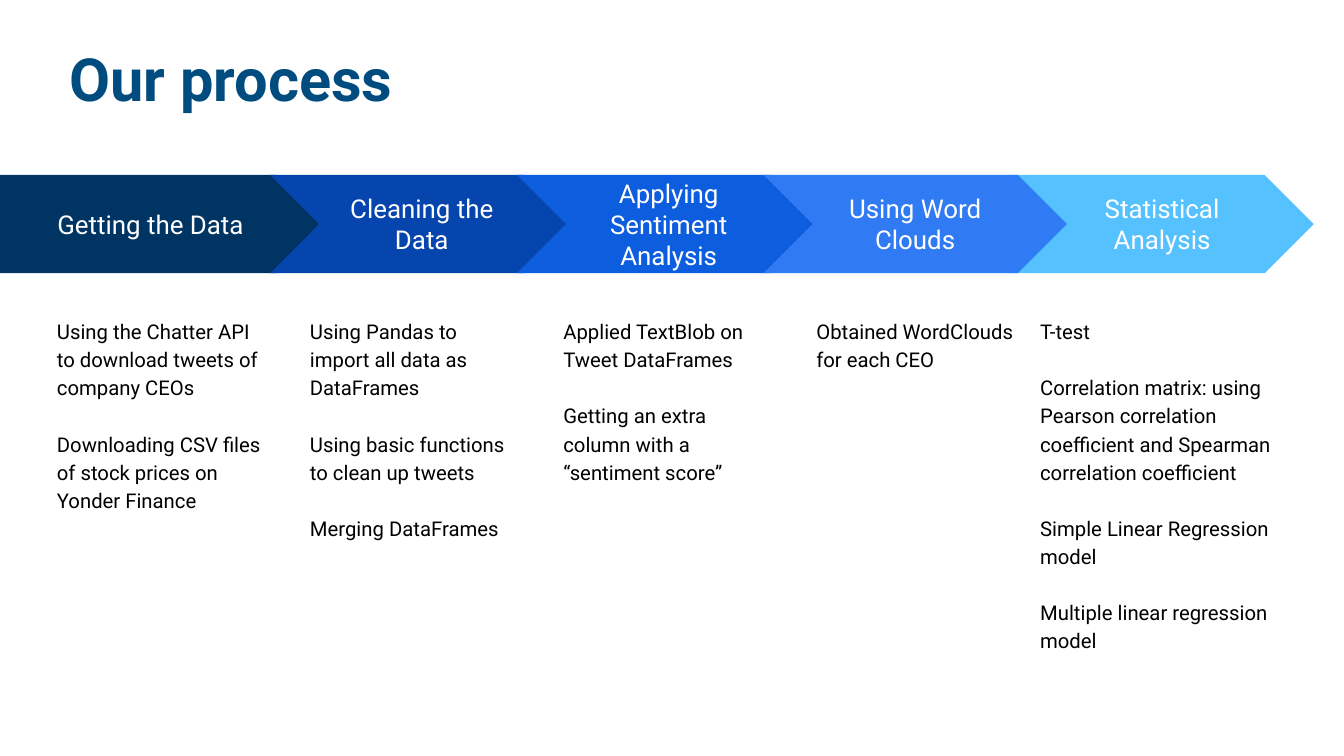
from dataclasses import dataclass

from pptx import Presentation
from pptx.dml.color import RGBColor
from pptx.enum.shapes import MSO_SHAPE
from pptx.enum.text import MSO_ANCHOR, PP_ALIGN
from pptx.slide import Slide
from pptx.text.text import TextFrame
from pptx.util import Inches, Pt

FONT = "Roboto"
TITLE_BLUE = RGBColor(0x00, 0x4C, 0x7F)
NAVY = RGBColor(0x00, 0x34, 0x62)
DARK_BLUE = RGBColor(0x06, 0x45, 0xAD)
BLUE = RGBColor(0x0D, 0x5D, 0xDF)
LIGHT_BLUE = RGBColor(0x30, 0x7B, 0xF3)
SKY = RGBColor(0x55, 0xC1, 0xFF)
WHITE = RGBColor(0xFF, 0xFF, 0xFF)
BLACK = RGBColor(0x00, 0x00, 0x00)


@dataclass
class Step:
    heading: str
    color: RGBColor
    left: float
    text_left: float
    details: list[str]
    width: float = 6.02
    text_width: float = 4.74
    shape: MSO_SHAPE = MSO_SHAPE.CHEVRON


STEPS = [
    Step("Getting the Data", NAVY, 0, 0.86, [
        "Using the Chatter API to download tweets of company CEOs",
        "Downloading CSV files of stock prices on Yonder Finance",
    ], width=6.46, shape=MSO_SHAPE.PENTAGON),
    Step("Cleaning the Data", DARK_BLUE, 5.36, 5.88, [
        "Using Pandas to import all data as DataFrames",
        "Using basic functions to clean up tweets",
        "Merging DataFrames",
    ]),
    Step("Applying Sentiment Analysis", BLUE, 10.26, 10.91, [
        "Applied TextBlob on Tweet DataFrames",
        "Getting an extra column with a “sentiment score”",
    ]),
    Step("Statistical Analysis", SKY, 20.05, 20.37, [
        "T-test",
        "Correlation matrix: using Pearson correlation coefficient "
        "and Spearman correlation coefficient",
        "Simple Linear Regression model",
        "Multiple linear regression model",
    ], text_width=5.32),
    Step("Using Word Clouds", LIGHT_BLUE, 15.15, 15.93, [
        "Obtained WordClouds for each CEO",
    ]),
]


def set_frame(tf: TextFrame, inset: float, anchor: MSO_ANCHOR) -> None:
    tf.word_wrap = True
    tf.vertical_anchor = anchor
    tf.margin_left = tf.margin_right = Inches(inset)
    tf.margin_top = tf.margin_bottom = Inches(inset)


def write(tf: TextFrame, texts: list[str], size: float, color: RGBColor,
          align: PP_ALIGN = PP_ALIGN.LEFT, spacing: float = 1.0,
          gap: float = 0, bold: bool = False) -> None:
    for i, text in enumerate(texts):
        p = tf.add_paragraph() if i else tf.paragraphs[0]
        p.text = text
        p.alignment = align
        p.line_spacing = spacing
        p.space_before = Pt(gap if i else 0)
        p.font.name = FONT
        p.font.size = Pt(size)
        p.font.bold = bold
        p.font.color.rgb = color


def add_title(s: Slide, text: str) -> None:
    sp = s.shapes.title
    sp.left, sp.top = Inches(1.32), Inches(1.04)
    sp.width, sp.height = Inches(24.03), Inches(1.57)
    set_frame(sp.text_frame, 0.06, MSO_ANCHOR.TOP)
    write(sp.text_frame, [text], 85, TITLE_BLUE, spacing=0.8, bold=True)


def add_step(s: Slide, step: Step) -> None:
    sp = s.shapes.add_shape(step.shape, Inches(step.left), Inches(3.47),
                            Inches(step.width), Inches(1.95))
    sp.adjustments[0] = 0.5
    sp.shadow.inherit = False
    sp.fill.solid()
    sp.fill.fore_color.rgb = step.color
    sp.line.fill.background()
    set_frame(sp.text_frame, 0.27, MSO_ANCHOR.MIDDLE)
    write(sp.text_frame, [step.heading], 37, WHITE, PP_ALIGN.CENTER)

    box = s.shapes.add_textbox(Inches(step.text_left), Inches(6),
                               Inches(step.text_width), Inches(6.85))
    set_frame(box.text_frame, 0.27, MSO_ANCHOR.TOP)
    write(box.text_frame, step.details, 29, BLACK, spacing=1.15, gap=40)


def main() -> None:
    prs = Presentation()
    prs.slide_width, prs.slide_height = Inches(26.67), Inches(15)
    s = prs.slides.add_slide(prs.slide_layouts[5])
    add_title(s, "Our process")
    for step in STEPS:
        add_step(s, step)
    prs.save("out.pptx")


if __name__ == "__main__":
    main()
